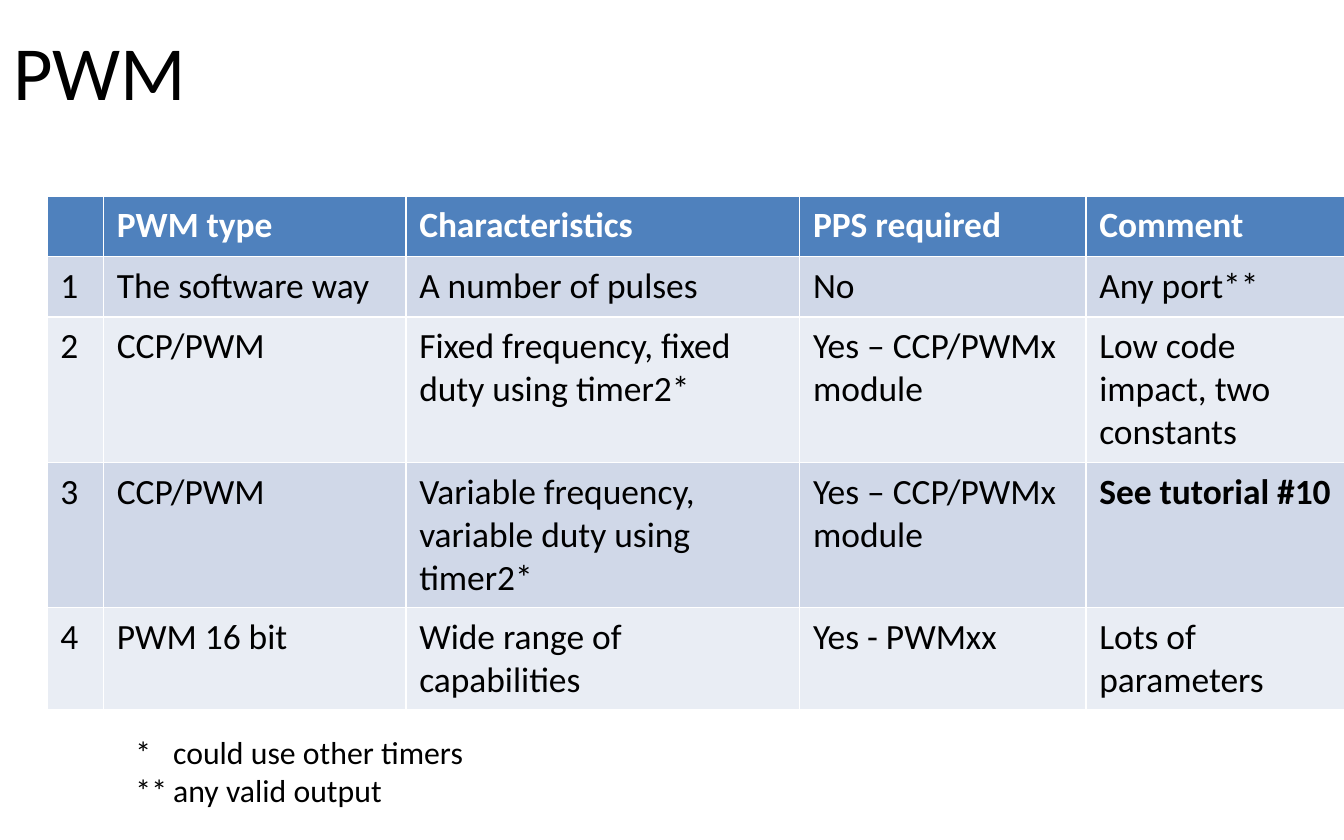
from lxml import etree
from pptx import Presentation
from pptx import util as u
from pptx.dml.color import RGBColor
from pptx.enum import text
from pptx.oxml import ns

HEADER, BANDS = "4F81BD", ("E9EDF4", "D0D8E8")
BLACK, WHITE = "000000", "FFFFFF"


def rgb(value):
    return RGBColor.from_string(value)


def style(p, size, color, bold=False):
    for r in p.runs:
        r.font.name = "Calibri"
        r.font.size = u.Pt(size)
        r.font.bold = bold
        r.font.color.rgb = rgb(color)


prs = Presentation()
prs.slide_width, prs.slide_height = u.Inches(10), u.Inches(6.25)
W, H = prs.slide_width, prs.slide_height
s = prs.slides.add_slide(prs.slide_layouts[5])

# Title
title = s.shapes.title
title.left, title.top = 0, 0
title.width, title.height = int(W * 0.9), H // 6
tf = title.text_frame
tf.text = "PWM"
tf.vertical_anchor = text.MSO_ANCHOR.MIDDLE
tf.paragraphs[0].alignment = text.PP_ALIGN.LEFT
style(tf.paragraphs[0], 41, BLACK)

# Table of PWM types
rows = [
    ("", "PWM type", "Characteristics", "PPS required", "Comment"),
    ("1", "The software way", "A number of pulses", "No", "Any port**"),
    ("2", "CCP/PWM", "Fixed frequency, fixed duty using timer2*",
     "Yes – CCP/PWMx module", "Low code impact, two constants"),
    ("3", "CCP/PWM", "Variable frequency, variable duty using timer2*",
     "Yes – CCP/PWMx module", "See tutorial #10"),
    ("4", "PWM 16 bit", "Wide range of capabilities", "Yes - PWMxx",
     "Lots of parameters"),
]
widths = [0.42, 2.25, 2.93, 2.13, 1.93]
heights = [0.45, 0.45, 0.74, 0.74, 0.74]
table = s.shapes.add_table(
    len(rows), len(widths), u.Inches(0.35), u.Inches(1.46),
    u.Inches(sum(widths)), u.Inches(sum(heights))).table
for column, width in zip(table.columns, widths):
    column.width = u.Inches(width)
for row, height in zip(table.rows, heights):
    row.height = u.Inches(height)

for i, row in enumerate(rows):
    for j, words in enumerate(row):
        cell = table.cell(i, j)
        cell.fill.solid()
        cell.fill.fore_color.rgb = rgb(BANDS[i % 2] if i else HEADER)
        cell.margin_left = cell.margin_right = u.Inches(0.1)
        cell.margin_top = cell.margin_bottom = u.Inches(0.06)
        cell.text_frame.text = words
        bold = i == 0 or words.startswith("See")
        style(cell.text_frame.paragraphs[0], 19, BLACK if i else WHITE, bold)

# Footnotes, aligned on a tab stop
tf = s.shapes.add_textbox(u.Inches(0.91), u.Inches(5.4),
                          u.Inches(8.03), u.Inches(0.67)).text_frame
tf.word_wrap = True
tf.text = "*\tcould use other timers\n**\tany valid output"
for p in tf.paragraphs:
    tabs = etree.SubElement(p._p.get_or_add_pPr(), ns.qn("a:tabLst"))
    etree.SubElement(tabs, ns.qn("a:tab"), pos=str(u.Inches(0.28)), algn="l")
    style(p, 17, BLACK)

prs.save("out.pptx")
